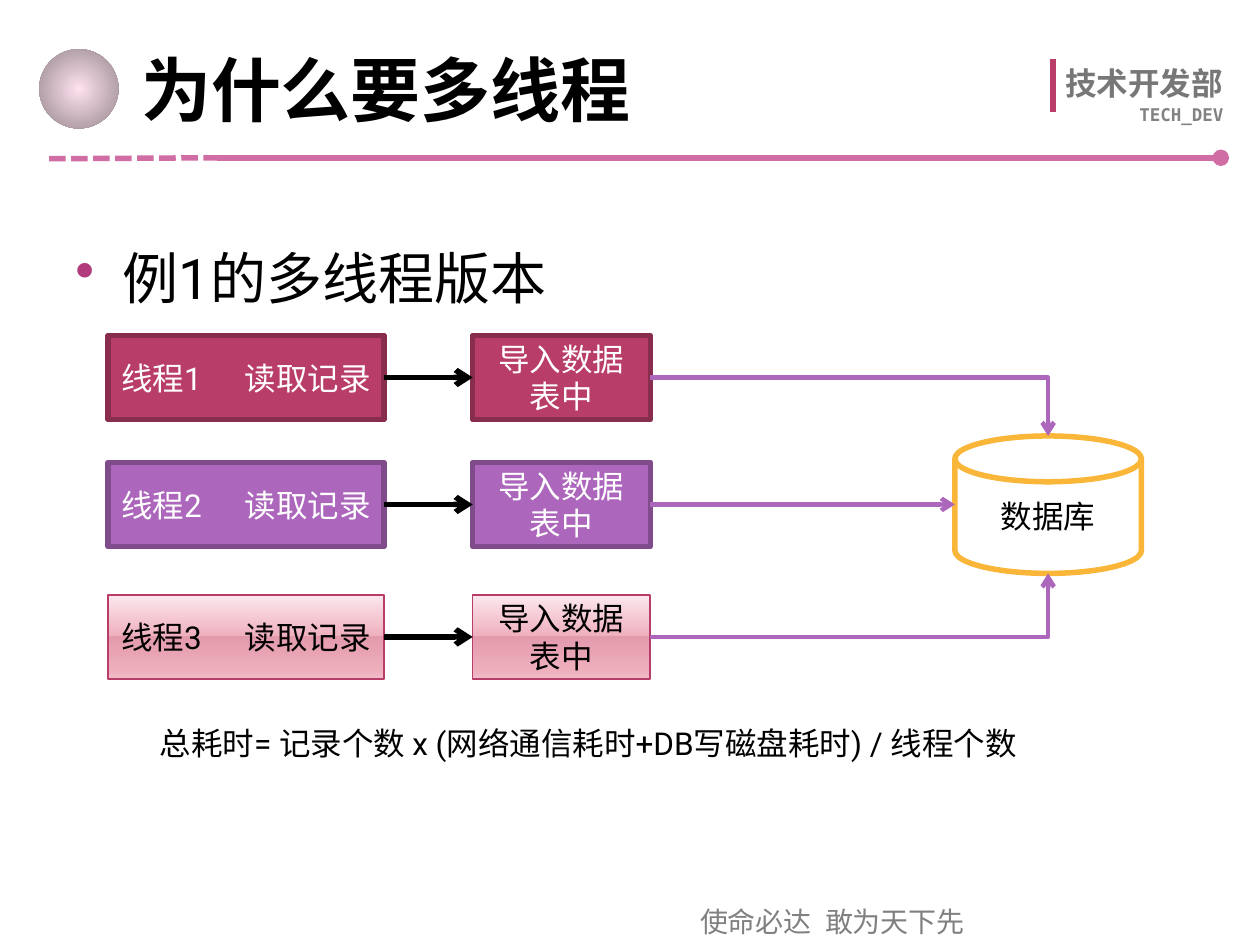
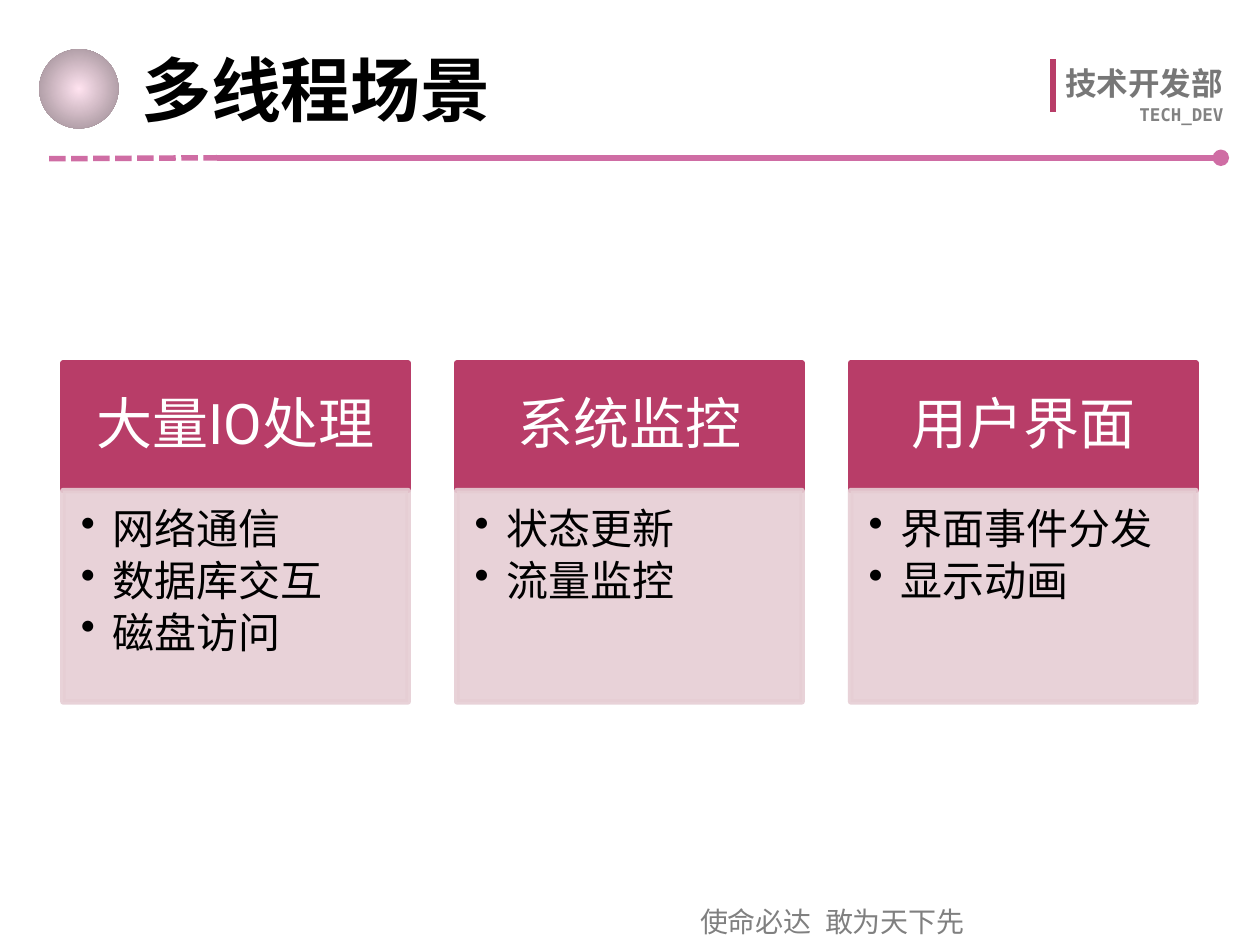
from pptx import Presentation
from pptx.dml.color import RGBColor
from pptx.enum.dml import MSO_LINE as Dash
from pptx.enum.shapes import MSO_CONNECTOR as Wire, MSO_SHAPE as Kind
from pptx.enum.text import MSO_ANCHOR as Anchor, PP_ALIGN as Align
from pptx.oxml import parse_xml
from pptx.oxml.ns import nsdecls, qn
from pptx.util import Cm, Pt
from lxml.etree import SubElement

HUE = {
    "rose": "B83D68", "wine": "882D4D", "plum": "AC66BB", "grape": "7F4B8A",
    "pink": "CF6DA4", "blush": "E6CED4", "gold": "F9B639", "dot": "B23B7E",
    "black": "000000", "white": "FFFFFF", "dim": "808080",
    "dept": "777777", "code": "828282",
}
BALL = [(0, "FFE3F0"), (100, "94858C")]
GLOSS = [(0, "FCE8ED"), (49, "EFB0BE"), (49, "E39BAC"),
         (92, "EFB0BE"), (100, "F0BEC9")]
ROUND = ('<a:path path="circle"><a:fillToRect l="50000" t="50000" '
         'r="50000" b="50000"/></a:path>')
DOWN = '<a:lin ang="5400000" scaled="0"/>'
SANS, MONO, HAN = "Roboto", "DejaVu Sans Mono", "Noto Sans CJK SC"
THICK = 3.15


def rgb(name):
    return RGBColor.from_string(HUE[name])


def place(shape, box):
    shape.left, shape.top, shape.width, shape.height = map(Cm, box)


# Text
def add_run(para, text, size, hue, font, bold, gap=0):
    run = para.add_run()
    run.text = text
    face = run.font
    face.size, face.bold, face.name = Pt(size), bold, font
    face.color.rgb = rgb(hue)
    props = run._r.get_or_add_rPr()
    SubElement(props, qn("a:ea")).set("typeface", HAN)
    if gap:
        props.set("spc", str(gap * 100))


def add_dot(para, hue, indent):
    props = para._p.get_or_add_pPr()
    props.set("marL", str(Cm(indent)))
    props.set("indent", str(-Cm(indent)))
    SubElement(SubElement(props, qn("a:buClr")), qn("a:srgbClr")).set("val", HUE[hue])
    SubElement(props, qn("a:buChar")).set("char", "•")


def say(shape, *lines, size=18, hue="black", font=SANS, bold=False,
        align=Align.LEFT, anchor=Anchor.TOP, pad=None, gap=0, pitch=None,
        before=0, after=0, dot=None, indent=0):
    """Fill a shape with paragraphs; gap widens the first space by points."""
    frame = shape.text_frame
    frame.word_wrap, frame.vertical_anchor = True, anchor
    if pad:
        (frame.margin_left, frame.margin_top,
         frame.margin_right, frame.margin_bottom) = map(Cm, pad)
    for i, line in enumerate(lines):
        para = frame.add_paragraph() if i else frame.paragraphs[0]
        para.alignment = align
        para.space_before, para.space_after = Pt(before), Pt(after)
        if pitch:
            para.line_spacing = pitch
        if dot:
            add_dot(para, dot, indent)
        look = (size, hue, font, bold)
        if gap:
            head, space, tail = line.partition(" ")
            add_run(para, head, *look)
            add_run(para, space, *look, gap=gap)
            add_run(para, tail, *look)
        else:
            add_run(para, line, *look)


def label(slide, box, text, **fmt):
    say(slide.shapes.add_textbox(*map(Cm, box)), text, **fmt)


# Shapes and lines
def blend(shape, stops, way):
    marks = "".join(f'<a:gs pos="{at * 1000}"><a:srgbClr val="{tone}"/></a:gs>'
                    for at, tone in stops)
    shape.fill.background()
    props = shape._element.spPr
    props.replace(props.find(qn("a:noFill")), parse_xml(
        f'<a:gradFill {nsdecls("a")} rotWithShape="1">'
        f'<a:gsLst>{marks}</a:gsLst>{way}</a:gradFill>'))


def draw(slide, kind, box, fill=None, edge=None, width=THICK, alpha=None):
    shape = slide.shapes.add_shape(kind, *map(Cm, box))
    shape.shadow.inherit = False
    if fill:
        shape.fill.solid()
        shape.fill.fore_color.rgb = rgb(fill)
    if edge:
        shape.line.color.rgb = rgb(edge)
        shape.line.width = Pt(width)
    else:
        shape.line.fill.background()
    if alpha:
        for tone in shape._element.spPr.iter(qn("a:srgbClr")):
            SubElement(tone, qn("a:alpha")).set("val", str(alpha * 1000))
    return shape


def link(slide, start, end, hue, width=THICK, tip=None, dash=None,
         kind=Wire.STRAIGHT, bend=None):
    wire = slide.shapes.add_connector(kind, *map(Cm, start + end))
    wire.line.color.rgb, wire.line.width = rgb(hue), Pt(width)
    if dash:
        wire.line.dash_style = dash
    props = wire._element.spPr
    if tip:
        SubElement(props.find(qn("a:ln")), qn("a:tailEnd")).set("type", tip)
    if bend:
        props.find(qn("a:prstGeom")).set("prst", bend)
    SubElement(props, qn("a:effectLst"))


# Parts shared by all slides
def badge(slide, box):
    x, y, w, h = box
    link(slide, (x, y), (x, y + h), "rose")
    label(slide, (x, y - 0.02, w, 1.02), "技术开发部", hue="dept", font=HAN, bold=True)
    label(slide, (x + 1.2, y + 0.79, 2.77, 0.69), "TECH_DEV", size=10,
          hue="code", font=MONO, bold=True, align=Align.CENTER)


def base(deck, title):
    slide = deck.slides.add_slide(deck.slide_layouts[5])
    badge(slide, (21.23, 1.19, 3.76, 1.07))
    label(slide, (12.12, 18.11, 9.32, 0.94), "使命必达 敢为天下先", size=16,
          hue="dim", align=Align.CENTER, gap=4)
    link(slide, (4.37, 3.18), (24.61, 3.18), "pink", tip="oval")
    link(slide, (0.99, 3.2), (4.37, 3.18), "pink", dash=Dash.SQUARE_DOT)
    blend(draw(slide, Kind.OVAL, (0.79, 0.99, 1.6, 1.6)), BALL, ROUND)
    place(slide.shapes.title, (2.59, 0.58, 15.67, 2.41))
    say(slide.shapes.title, title, size=40, bold=True, anchor=Anchor.MIDDLE)
    return slide


# Slide 1: three threads feeding one database
def thread(slide, box, num, fill, edge, hue):
    x, y, w, h = box
    read, load = 5.56, 3.58
    mid = y + h / 2
    parts = ((x, read, f"线程{num} 读取记录", 20),
             (x + w - load, load, "导入数据表中", 0))
    for left, wide, text, gap in parts:
        step = draw(slide, Kind.FLOWCHART_PROCESS, (left, y, wide, h), fill, edge,
                    THICK if fill else 0.9)
        if not fill:
            blend(step, GLOSS, DOWN)
        say(step, text, hue=hue, align=Align.CENTER, anchor=Anchor.MIDDLE, gap=gap)
    link(slide, (x + read, mid), (x + w - load, mid), "black", tip="arrow")
    return x + w, mid


def flow(slide, box):
    x, y, w, h = box
    looks = ((0, "rose", "wine", "white"), (2.56, "plum", "grape", "white"),
             (5.23, None, "rose", "black"))
    ends = [thread(slide, (x, y + drop, 10.93, 1.7), i, *look)
            for i, (drop, *look) in enumerate(looks, 1)]

    # Database and the lines into its top, left and bottom
    wide, tall = 3.76, 2.77
    left, top = x + w - wide, y + 2.03
    disk = draw(slide, Kind.FLOWCHART_MAGNETIC_DISK, (left, top, wide, tall),
                "white", "gold")
    say(disk, "数据库", align=Align.CENTER, anchor=Anchor.MIDDLE)
    mid = left + wide / 2
    goals = (((mid, top), "bentConnector2"), ((left, ends[1][1]), None),
             ((mid, top + tall), "bentConnector2"))
    for start, (goal, bend) in zip(ends, goals):
        link(slide, start, goal, "plum", 2.5, "arrow", kind=Wire.ELBOW, bend=bend)


def why(deck):
    slide = base(deck, "为什么要多线程")
    label(slide, (1.27, 4.45, 22.86, 2), "例1的多线程版本", size=32, pitch=1.25,
          before=6.4, dot="dot", indent=0.95)
    flow(slide, (2.18, 6.76, 20.83, 6.93))
    label(slide, (2.97, 14.48, 18.47, 1.02),
          "总耗时= 记录个数 x (网络通信耗时+DB写磁盘耗时) / 线程个数")


# Slide 2: cards of use cases
def card(slide, box, title, items):
    x, y, w, h = box
    cap = 2.57
    head = draw(slide, Kind.RECTANGLE, (x, y, w, cap), "rose", "rose")
    say(head, title, size=32, hue="white", align=Align.CENTER,
        anchor=Anchor.MIDDLE, pad=(0.64, 0.36, 0.64, 0.36), pitch=0.9)
    body = draw(slide, Kind.RECTANGLE, (x, y + cap, w, h - cap),
                "blush", "blush", alpha=90)
    say(body, *items, size=24, pad=(0.36, 0.36, 0.48, 0.53), pitch=0.9,
        after=3.6, dot="black", indent=0.64)


def cases(deck):
    slide = base(deck, "多线程场景")
    cards = {
        "大量IO处理": ("网络通信", "数据库交互", "磁盘访问"),
        "系统监控": ("状态更新", "流量监控"),
        "用户界面": ("界面事件分发", "显示动画"),
    }
    for i, (title, items) in enumerate(cards.items()):
        card(slide, (1.27 + i * 7.94, 7.32, 6.96, 6.83), title, items)


def main():
    deck = Presentation()
    deck.slide_width, deck.slide_height = Cm(25.4), Cm(19.05)
    why(deck)
    cases(deck)
    deck.save("out.pptx")


if __name__ == "__main__":
    main()
